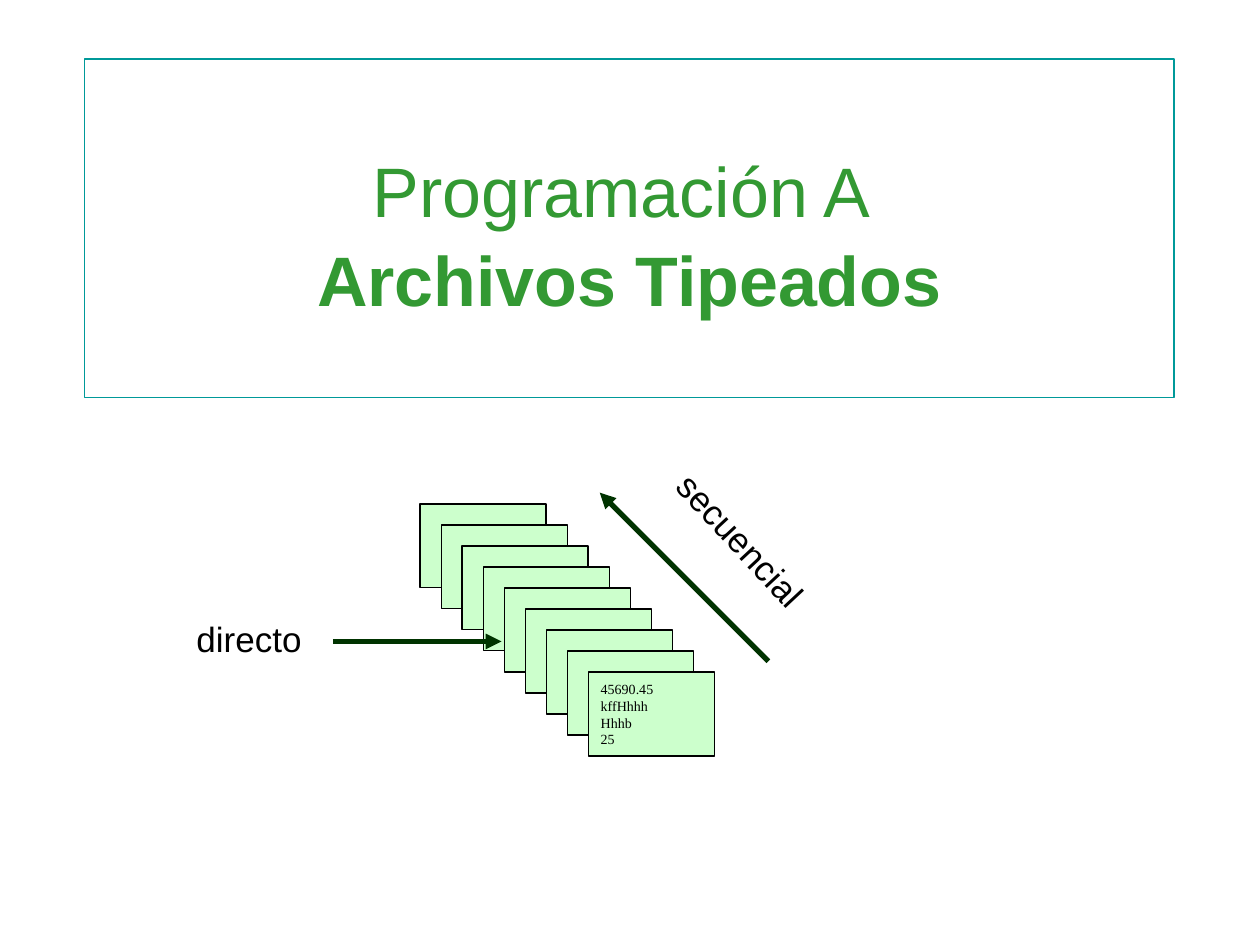
from pptx import Presentation
from pptx.dml.color import RGBColor
from pptx.enum.shapes import MSO_CONNECTOR, MSO_SHAPE
from pptx.enum.text import MSO_ANCHOR, PP_ALIGN
from pptx.oxml.ns import qn
from pptx.util import Cm, Pt
from lxml.etree import SubElement

CARD_COUNT = 9
CARD_WIDTH, CARD_HEIGHT = 2.54, 1.69
RECORD_FIELDS = ["45690.45", "kffHhhh", "Hhhb", "25"]


def color(hex_string):
    return RGBColor.from_string(hex_string)


def format_font(font, name, size, hex_string, bold=False):
    values = {"name": name, "size": Pt(size), "bold": bold}
    for attribute, value in values.items():
        setattr(font, attribute, value)
    font.color.rgb = color(hex_string)


def format_line(line, hex_string, width):
    line.color.rgb = color(hex_string)
    line.width = Pt(width)


def place(shape, left, top, width, height):
    box = {"left": left, "top": top, "width": width, "height": height}
    for attribute, value in box.items():
        setattr(shape, attribute, Cm(value))


def add_title(slide, left, top, width, height):
    title = slide.shapes.title
    place(title, left, top, width, height)
    format_line(title.line, "009999", 0.75)
    frame = title.text_frame
    frame.vertical_anchor = MSO_ANCHOR.MIDDLE
    frame.margin_top = Cm(0.27)
    paragraph = frame.paragraphs[0]
    paragraph.alignment = PP_ALIGN.CENTER
    paragraph.line_spacing = 1.05
    for text, bold in [("Programación A ", False), ("Archivos Tipeados", True)]:
        if paragraph.runs:
            paragraph.add_line_break()
        run = paragraph.add_run()
        run.text = text
        format_font(run.font, "Arial", 40, "339933", bold)


def add_record_stack(slide, left, top, width, height):
    """Cascade the cards from the box's top left to its bottom right corner."""
    group = slide.shapes.add_group_shape()
    step_x = (width - CARD_WIDTH) / (CARD_COUNT - 1)
    step_y = (height - CARD_HEIGHT) / (CARD_COUNT - 1)
    for index in range(CARD_COUNT):
        card = group.shapes.add_shape(
            MSO_SHAPE.FLOWCHART_PROCESS,
            Cm(left + index * step_x), Cm(top + index * step_y),
            Cm(CARD_WIDTH), Cm(CARD_HEIGHT))
        card.shadow.inherit = False
        card.fill.solid()
        card.fill.fore_color.rgb = color("CCFFCC")
        format_line(card.line, "000000", 0.75)
    frame = card.text_frame
    frame.vertical_anchor = MSO_ANCHOR.MIDDLE
    frame.text = "\n".join(RECORD_FIELDS)
    for paragraph in frame.paragraphs:
        paragraph.alignment = PP_ALIGN.LEFT
        format_font(paragraph.runs[0].font, "Times New Roman", 8, "000000")


def add_arrow(slide, *ends):
    arrow = slide.shapes.add_connector(
        MSO_CONNECTOR.STRAIGHT, *[Cm(end) for end in ends])
    format_line(arrow.line, "003300", 3)
    SubElement(arrow.line._get_or_add_ln(), qn("a:tailEnd"), type="triangle")
    SubElement(arrow._element.spPr, qn("a:effectLst"))


def add_label(slide, text, left, top, width, height, rotation=0):
    label = slide.shapes.add_textbox(0, 0, 0, 0)
    place(label, left, top, width, height)
    label.rotation = rotation
    frame = label.text_frame
    frame.word_wrap = True
    frame.text = text
    format_font(frame.paragraphs[0].runs[0].font, "Arial", 20, "000000")


def add_access_diagram(slide, left, top):
    """Show sequential and direct access around the stack of records."""
    add_record_stack(slide, left + 4.76, top + 0.23, 5.93, 5.08)
    add_arrow(slide, left + 11.78, top + 3.4, left + 8.38, top)
    add_arrow(slide, left + 3, top + 3, left + 6.4, top + 3)
    add_label(slide, "secuencial", left + 9.24, top + 0.53, 4.19, 1.12, 47)
    add_label(slide, "directo", left, top + 2.39, 2.79, 1.12)


def main():
    presentation = Presentation()
    presentation.slide_width = Cm(25.4)
    presentation.slide_height = Cm(19.05)
    slide = presentation.slides.add_slide(presentation.slide_layouts[5])
    add_title(slide, 1.7, 1.19, 21.97, 6.83)
    add_access_diagram(slide, 3.71, 9.93)
    presentation.save("out.pptx")


if __name__ == "__main__":
    main()
